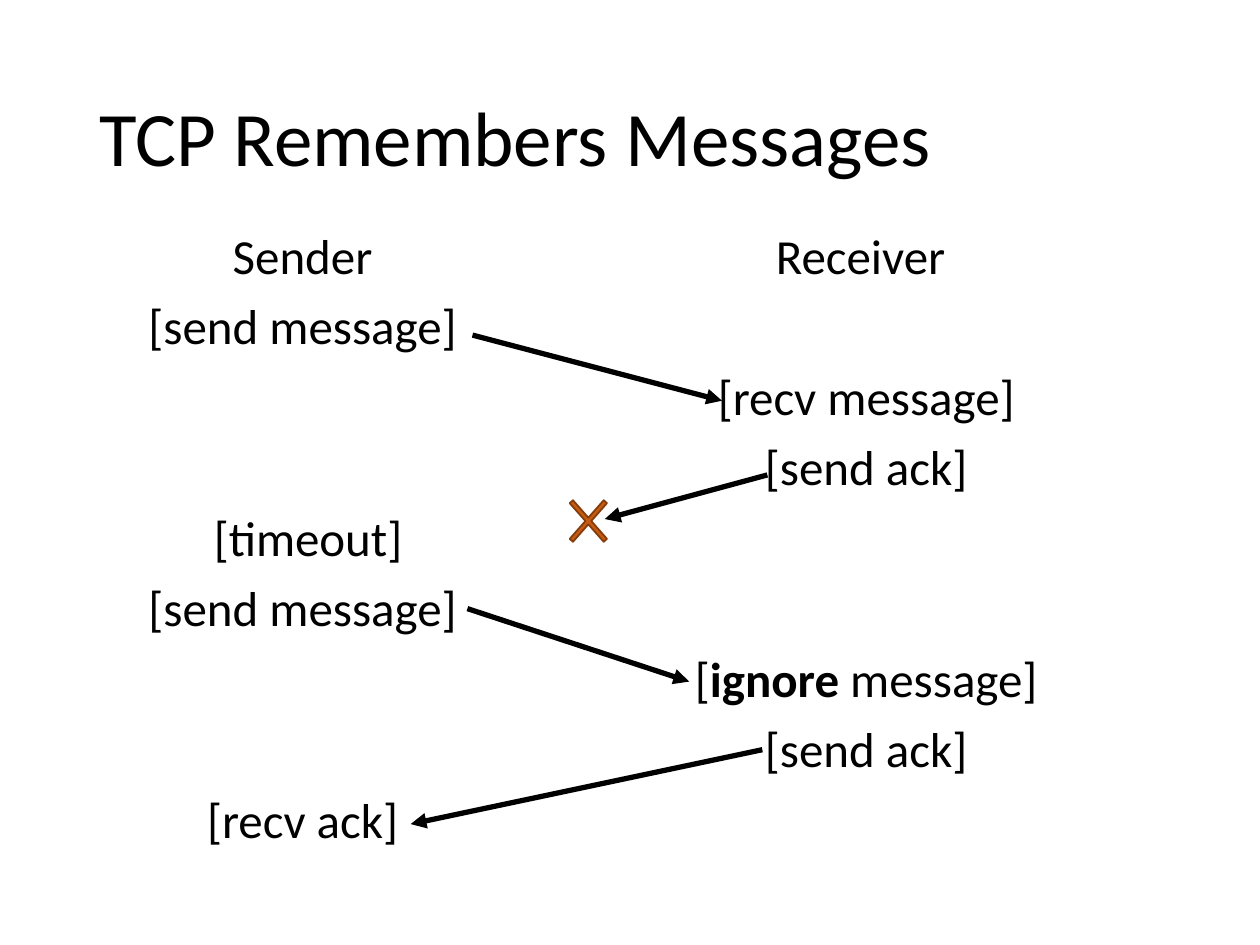
from lxml import etree
from pptx import Presentation
from pptx import util as u
from pptx.dml.color import RGBColor
from pptx.enum import shapes, text
from pptx.oxml.ns import qn

Pt = u.Pt
COLORS = {"ink": "000000", "loss": "C55A11", "loss_edge": "843C0B"}
FONT = "Calibri"
TITLE = "TCP Remembers Messages"
TITLE_BOX = (49.7, 28.8, 620.6, 104.4)
ROW, GAP = 40.3, 10  # timeline row pitch, paragraph gap

# Each event: timeline row, then runs of (text, bold)
SENDER = [
    (0, [("Sender ", False)]),
    (1, [("[send message] ", False)]),
    (4, [("[timeout]", False)]),
    (5, [("[send message] ", False)]),
    (8, [("[recv ack] ", False)]),
]
RECEIVER = [
    (0, [("Receiver ", False)]),
    (2, [("[recv message]", False)]),
    (3, [("[send ack]", False)]),
    (6, [("[", False), ("ignore", True), (" message]", False)]),
    (7, [("[send ack]", False)]),
]
COLUMNS = [
    ((49.7, 128.9, 252.7, 362.9), SENDER),
    ((368.6, 128.9, 252.7, 342), RECEIVER),
]
ARROWS = [
    (270, 191.5, 412.6, 229),
    (438.5, 271.4, 345.6, 296.6),
    (267.1, 347.8, 393.8, 389.5),
    (435.6, 428.4, 234.7, 470.9),
]
LOSS_BOX = (317.5, 276.5, 37.4, 42.5)


def rgb(name):
    """Return the named colour."""
    return RGBColor.from_string(COLORS[name])


def place(sp, box):
    """Move and size a placeholder."""
    sp.left, sp.top, sp.width, sp.height = map(Pt, box)
    sp.text_frame.auto_size = text.MSO_AUTO_SIZE.NONE
    sp.text_frame.word_wrap = True


def add_run(p, words, size, bold=False):
    """Add one formatted run to a paragraph."""
    r = p.add_run()
    r.text = words
    r.font.name, r.font.size, r.font.bold = FONT, Pt(size), bold
    r.font.color.rgb = rgb("ink")


def fill_column(sp, box, events):
    """Write events on their timeline rows."""
    place(sp, box)
    tf = sp.text_frame
    tf.vertical_anchor = text.MSO_ANCHOR.TOP
    previous = -1
    for i, (row, runs) in enumerate(events):
        p = tf.add_paragraph() if i else tf.paragraphs[0]
        p.alignment = text.PP_ALIGN.CENTER
        p.line_spacing = 0.9
        p.space_before = Pt(GAP + (row - previous - 1) * ROW)
        pPr = p._p.get_or_add_pPr()
        pPr.set("marL", "0")
        pPr.set("indent", "0")
        etree.SubElement(pPr, qn("a:buNone"))
        for words, bold in runs:
            add_run(p, words, 28, bold)
        previous = row


def add_arrow(s, ends):
    """Draw a message arrow."""
    line = s.shapes.add_connector(shapes.MSO_CONNECTOR.STRAIGHT, *map(Pt, ends))
    line.line.color.rgb = rgb("ink")
    line.line.width = Pt(3)
    etree.SubElement(line.line._get_or_add_ln(), qn("a:tailEnd"), type="triangle")
    etree.SubElement(line._element.spPr, qn("a:effectLst"))


def add_loss(s):
    """Mark the lost acknowledgement with a cross."""
    sp = s.shapes.add_shape(shapes.MSO_SHAPE.MATH_MULTIPLY, *map(Pt, LOSS_BOX))
    sp.adjustments[0] = 0.067
    sp.shadow.inherit = False
    sp.fill.solid()
    sp.fill.fore_color.rgb = rgb("loss")
    sp.line.color.rgb = rgb("loss_edge")
    sp.line.width = Pt(1)


prs = Presentation()
prs.slide_width, prs.slide_height = Pt(720), Pt(540)
s = prs.slides.add_slide(prs.slide_layouts[3])

title = s.shapes.title
place(title, TITLE_BOX)
title.text_frame.vertical_anchor = text.MSO_ANCHOR.MIDDLE
p = title.text_frame.paragraphs[0]
p.alignment = text.PP_ALIGN.LEFT
p.line_spacing = 0.9
add_run(p, TITLE, 44)

for idx, (box, events) in enumerate(COLUMNS, 1):
    fill_column(s.placeholders[idx], box, events)
add_loss(s)
for ends in ARROWS:
    add_arrow(s, ends)

prs.save("out.pptx")
